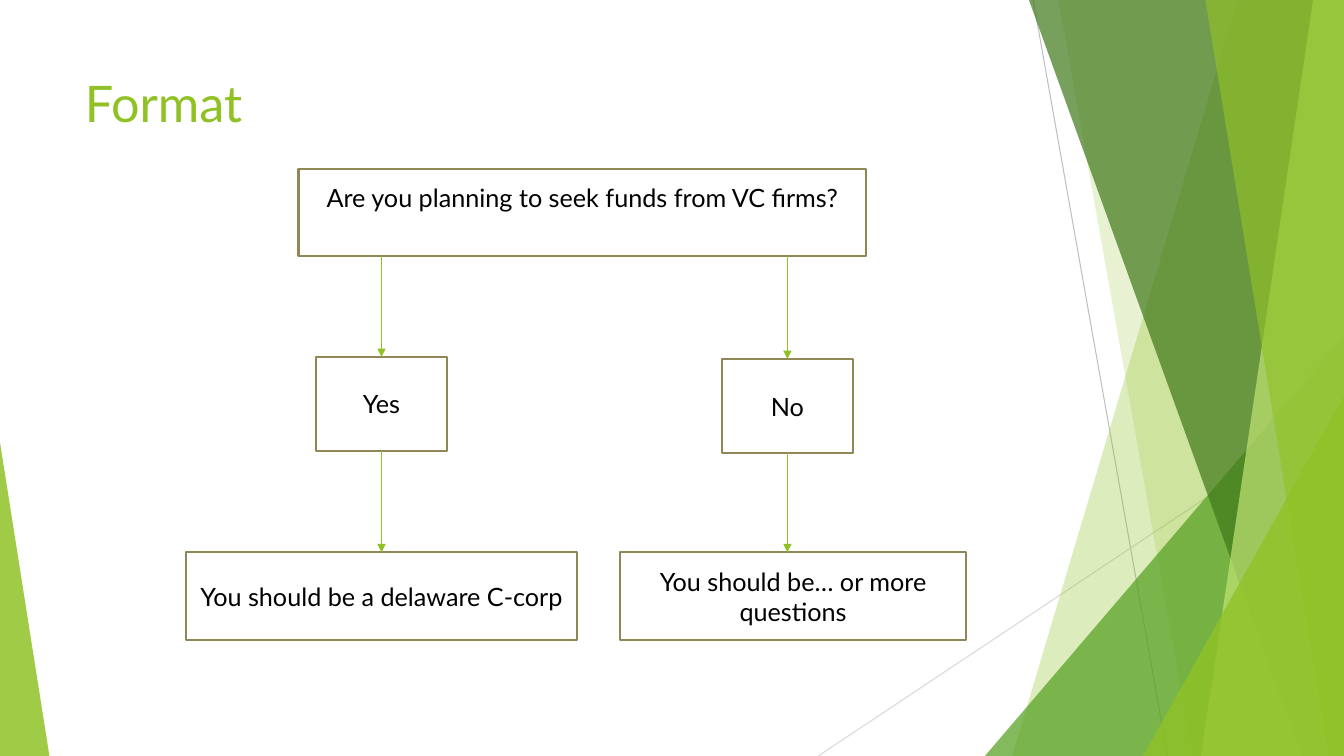
import pptx
import pptx.util
import pptx.dml.color
import pptx.enum.shapes
import pptx.enum.text
import pptx.oxml.ns
import lxml.etree

Pt = pptx.util.Pt
qn = pptx.oxml.ns.qn
sub = lxml.etree.SubElement
kinds = pptx.enum.shapes.MSO_SHAPE
anchor = pptx.enum.text.MSO_ANCHOR
align = pptx.enum.text.PP_ALIGN
rgb = pptx.dml.color.RGBColor.from_string

hues = {
    "lime": "90C226", "green": "54A021", "dark": "3F7819", "pale": "C0E474",
    "grey": "BFBFBF", "light": "D9D9D9", "edge": "918655",
    "white": "FFFFFF", "black": "000000",
}
wide, high = 960, 540

deck = pptx.Presentation()
deck.slide_width, deck.slide_height = Pt(wide), Pt(high)
slide = deck.slides.add_slide(deck.slide_layouts[6])
shapes = slide.shapes


def add_line(x1, y1, x2, y2, hue, width):
    line = shapes.add_connector(
        pptx.enum.shapes.MSO_CONNECTOR.STRAIGHT, Pt(x1), Pt(y1), Pt(x2), Pt(y2))
    line.line.color.rgb = rgb(hues[hue])
    line.line.width = Pt(width)
    sub(line._element.spPr, qn("a:effectLst"))
    return line


def set_text(shape, text, size, hue):
    frame = shape.text_frame
    frame.word_wrap = True
    frame.text = text
    font = frame.paragraphs[0].runs[0].font
    font.name, font.size = "Lato", Pt(size)
    font.color.rgb = rgb(hues[hue])
    return frame


# Thin background lines
add_line(738, 0, 834, high, "grey", 0.75)
add_line(wide, 290, 584.5, high, "light", 0.75)

# Facets, back to front: bands (top x, foot x) reach the right edge,
# triangles (left, top, width, tip) stand on the bottom edge
facets = [
    ("lime", 30, (884, 723)),
    ("lime", 20, (756, 852)),
    ("green", 72, (703.5, 240, 256.5, 1)),
    ("dark", 70, (735, 929.5)),
    ("pale", 70, (938, 858)),
    ("lime", 65, (861, 949)),
    ("lime", 80, (816.5, 283, 143.5, 1)),
    ("lime", 85, (0, 316, 35.3, 0)),
]
for hue, alpha, form in facets:
    if len(form) == 2:
        top, foot = form
        pen = shapes.build_freeform(top, 0, scale=Pt(1))
        pen.add_line_segments([(wide, 0), (wide, high), (foot, high)])
        facet = pen.convert_to_shape()
    else:
        left, top, width, tip = form
        facet = shapes.add_shape(
            kinds.ISOSCELES_TRIANGLE, Pt(left), Pt(top), Pt(width), Pt(high - top))
        facet.adjustments[0] = tip
    facet.shadow.inherit = False
    facet.fill.solid()
    facet.fill.fore_color.rgb = rgb(hues[hue])
    facet.line.fill.background()
    clr = facet._element.spPr.find(qn("a:solidFill")).find(qn("a:srgbClr"))
    sub(clr, qn("a:alpha")).set("val", str(alpha * 1000))

# Title
title = shapes.add_textbox(Pt(53.5), Pt(48), Pt(677), Pt(104))
set_text(title, "Format", 36, "lime")

# Flowchart boxes
yes_x, no_x = 272.5, 562.5
steps = [
    ("ask", "Are you planning to seek funds from VC firms?", 416, 121, 405.5, 62),
    ("yes", "Yes", yes_x, 255, 94, 67),
    ("no", "No", no_x, 256.5, 94, 67),
    ("corp", "You should be a delaware C-corp", yes_x, 394.5, 279, 62.5),
    ("more", "You should be… or more questions", 566.5, 394.5, 247.5, 62.5),
]
boxes = {}
for name, text, mid, top, width, height in steps:
    box = shapes.add_shape(
        kinds.RECTANGLE, Pt(mid - width / 2), Pt(top), Pt(width), Pt(height))
    box.shadow.inherit = False
    box.fill.solid()
    box.fill.fore_color.rgb = rgb(hues["white"])
    box.line.color.rgb = rgb(hues["edge"])
    box.line.width = Pt(1.5)
    frame = set_text(box, text, 18, "black")
    frame.vertical_anchor = anchor.MIDDLE
    frame.paragraphs[0].alignment = align.CENTER
    boxes[name] = box

# The question sits in the upper half of its box
ask = boxes["ask"].text_frame
ask.vertical_anchor = anchor.TOP
ask.margin_top = Pt(9.5)

# Arrows: x, start y, end y, box joined at the start, box joined at the end
arrows = [
    (yes_x, 183, 255, None, "yes"),
    (no_x, 183, 256.5, None, "no"),
    (yes_x, 322, 394.5, "yes", "corp"),
    (no_x, 323.5, 394.5, "no", None),
]
for x, start, end, tail, head in arrows:
    arrow = add_line(x, start, x, end, "lime", 1)
    if tail:
        arrow.begin_connect(boxes[tail], 2)
    if head:
        arrow.end_connect(boxes[head], 0)
    sub(arrow.line._get_or_add_ln(), qn("a:tailEnd")).set("type", "triangle")

deck.save("out.pptx")
